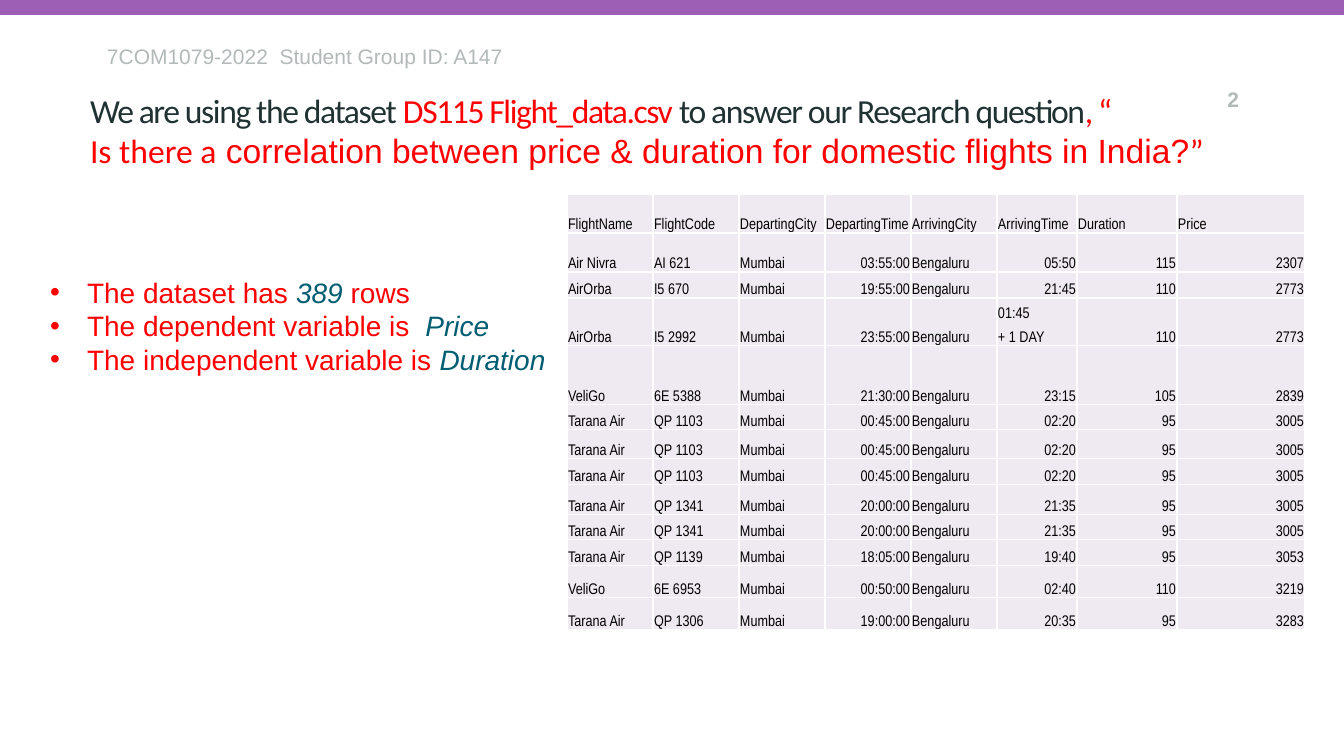
from lxml import etree
from pptx import Presentation, util as u
from pptx.dml.color import RGBColor
from pptx.enum import shapes, text
from pptx.oxml import parse_xml
from pptx.oxml.ns import nsdecls, qn

PX = 914400 / 100.8
COLORS = {"band": "9C5FB5", "ink": "203232", "red": "FF0000", "teal": "005D72",
          "grey": "B3B9B9", "cell": "EFEAF2", "black": "000000", "white": "FFFFFF"}


def px(*lengths):
    """Turn pixel lengths into a list of EMU."""
    return [round(length * PX) for length in lengths]


def style(font, name, size, color):
    font.name, font.size = name, u.Pt(size)
    font.color.rgb = RGBColor.from_string(COLORS[color])


presentation = Presentation()
presentation.slide_width, presentation.slide_height = px(1344, 756)
slide = presentation.slides.add_slide(presentation.slide_layouts[1])
title, body = slide.placeholders

# Top band
band = slide.shapes.add_shape(shapes.MSO_SHAPE.RECTANGLE, *px(0, 0, 1344, 15))
band.shadow.inherit = False
band.fill.solid()
band.fill.fore_color.rgb = RGBColor.from_string(COLORS["band"])
band.line.fill.background()

# Title: two lines of runs as (text, font, colour, spacing in 1/100 pt)
title_lines = [
    [("We are using the dataset", "Calibri", "ink", -100),
     (" DS115 Flight_data.csv", "Calibri", "red", -100),
     (" to answer our Research question", "Calibri", "ink", -100),
     (", “", "Calibri", "red", -100)],
    [("Is there a", "Calibri", "red", 0),
     (" correlation between price & duration for domestic flights in India?", "Arial", "red", 0),
     ("”", "Calibri", "red", -100)],
]
title.left, title.top, title.width, title.height = px(90, 90, 1125, 80)
frame = title.text_frame
frame.margin_left = frame.margin_top = frame.margin_right = frame.margin_bottom = 0
frame.vertical_anchor = text.MSO_ANCHOR.TOP
frame.auto_size = text.MSO_AUTO_SIZE.NONE
paragraph = frame.paragraphs[0]
paragraph.alignment = text.PP_ALIGN.LEFT
paragraph.line_spacing = u.Pt(28.8)
for index, line in enumerate(title_lines):
    if index:
        paragraph.add_line_break()
    for words, font_name, color, spacing in line:
        run = paragraph.add_run()
        run.text = words
        style(run.font, font_name, 24, color)
        run.font._element.set("spc", str(spacing))

# Header line and page number
for box, words, alignment, bold in [
    ((107, 44, 1006, 25), "7COM1079-2022  Student Group ID: A147", text.PP_ALIGN.LEFT, False),
    ((1170, 87, 69, 25), "2", text.PP_ALIGN.RIGHT, True),
]:
    frame = slide.shapes.add_textbox(*px(*box)).text_frame
    frame.word_wrap = True
    frame.margin_left = frame.margin_top = frame.margin_right = frame.margin_bottom = 0
    paragraph = frame.paragraphs[0]
    paragraph.text = words
    paragraph.alignment = alignment
    style(paragraph.font, "Arial", 15, "grey")
    paragraph.font.bold = bold

# Flight table
column_widths = [86] * 5 + [80, 100, 128]
row_heights = [39, 39, 26, 45, 59, 25, 29, 26, 30, 25, 26, 32, 32]
header = ["FlightName", "FlightCode", "DepartingCity", "DepartingTime",
          "ArrivingCity", "ArrivingTime", "Duration", "Price"]
flights = [
    ("Air Nivra", "AI 621", "03:55:00", "05:50", 115, 2307),
    ("AirOrba", "I5 670", "19:55:00", "21:45", 110, 2773),
    ("AirOrba", "I5 2992", "23:55:00", "01:45\n+ 1 DAY", 110, 2773),
    ("VeliGo", "6E 5388", "21:30:00", "23:15", 105, 2839),
    *[("Tarana Air", "QP 1103", "00:45:00", "02:20", 95, 3005)] * 3,
    *[("Tarana Air", "QP 1341", "20:00:00", "21:35", 95, 3005)] * 2,
    ("Tarana Air", "QP 1139", "18:05:00", "19:40", 95, 3053),
    ("VeliGo", "6E 6953", "00:50:00", "02:40", 110, 3219),
    ("Tarana Air", "QP 1306", "19:00:00", "20:35", 95, 3283),
]
rows = [header] + [[name, code, "Mumbai", departing, "Bengaluru", arriving, duration, price]
                   for name, code, departing, arriving, duration, price in flights]
right_columns = {3, 5, 6, 7}

table = slide.shapes.add_table(len(rows), len(header), *px(
    567, 194, sum(column_widths), sum(row_heights))).table
table.first_row = table.horz_banding = False
for column, width in zip(table.columns, px(*column_widths)):
    column.width = width
for row, height in zip(table.rows, px(*row_heights)):
    row.height = height
for row_index, values in enumerate(rows):
    for column_index, value in enumerate(values):
        cell = table.cell(row_index, column_index)
        cell.text = str(value)
        cell.vertical_anchor = text.MSO_ANCHOR.BOTTOM
        cell.margin_left, cell.margin_right, cell.margin_top, cell.margin_bottom = px(1, 1, 1, 0)
        paragraphs = cell.text_frame.paragraphs
        to_right = row_index and column_index in right_columns and len(paragraphs) == 1
        for index, paragraph in enumerate(paragraphs):
            paragraph.alignment = text.PP_ALIGN.RIGHT if to_right else text.PP_ALIGN.LEFT
            paragraph.space_before = u.Pt(7 if index else 0)
            style(paragraph.font, "Arial Narrow", 11, "black")
        properties = cell._tc.get_or_add_tcPr()
        for side in ("lnL", "lnR", "lnT", "lnB"):
            properties.append(parse_xml(
                f'<a:{side} {nsdecls("a")} w="12192"><a:solidFill>'
                f'<a:srgbClr val="{COLORS["white"]}"/></a:solidFill></a:{side}>'))
        cell.fill.solid()
        cell.fill.fore_color.rgb = RGBColor.from_string(COLORS["cell"])

# Bullets: red runs with teal italic values
bullets = [
    [("The dataset has ", False), ("389", True), (" rows", False)],
    [("The dependent variable is ", False), (" Price", True)],
    [("The independent variable is ", False), ("Duration", True)],
]
body.left, body.top, body.width, body.height = px(39, 202, 588, 179)
frame = body.text_frame
frame.margin_left, frame.margin_top, frame.margin_right, frame.margin_bottom = px(10, 5, 10, 5)
frame.vertical_anchor = text.MSO_ANCHOR.BOTTOM
frame.auto_size = text.MSO_AUTO_SIZE.NONE
for index, runs in enumerate(bullets):
    paragraph = frame.add_paragraph() if index else frame.paragraphs[0]
    paragraph.line_spacing = u.Pt(24)
    paragraph.space_before = u.Pt(0)
    for words, is_value in runs:
        run = paragraph.add_run()
        run.text = words
        style(run.font, "Arial", 20, "teal" if is_value else "red")
        run.font.italic = is_value
    properties = paragraph._p.get_or_add_pPr()
    margin, indent = px(38, -37)
    properties.set("marL", str(margin))
    properties.set("indent", str(indent))
    bullet_color = etree.SubElement(properties, qn("a:buClr"))
    etree.SubElement(bullet_color, qn("a:srgbClr"), val=COLORS["red"])
    etree.SubElement(properties, qn("a:buFont"), typeface="Arial")
    etree.SubElement(properties, qn("a:buChar"), char="•")

presentation.save("out.pptx")
